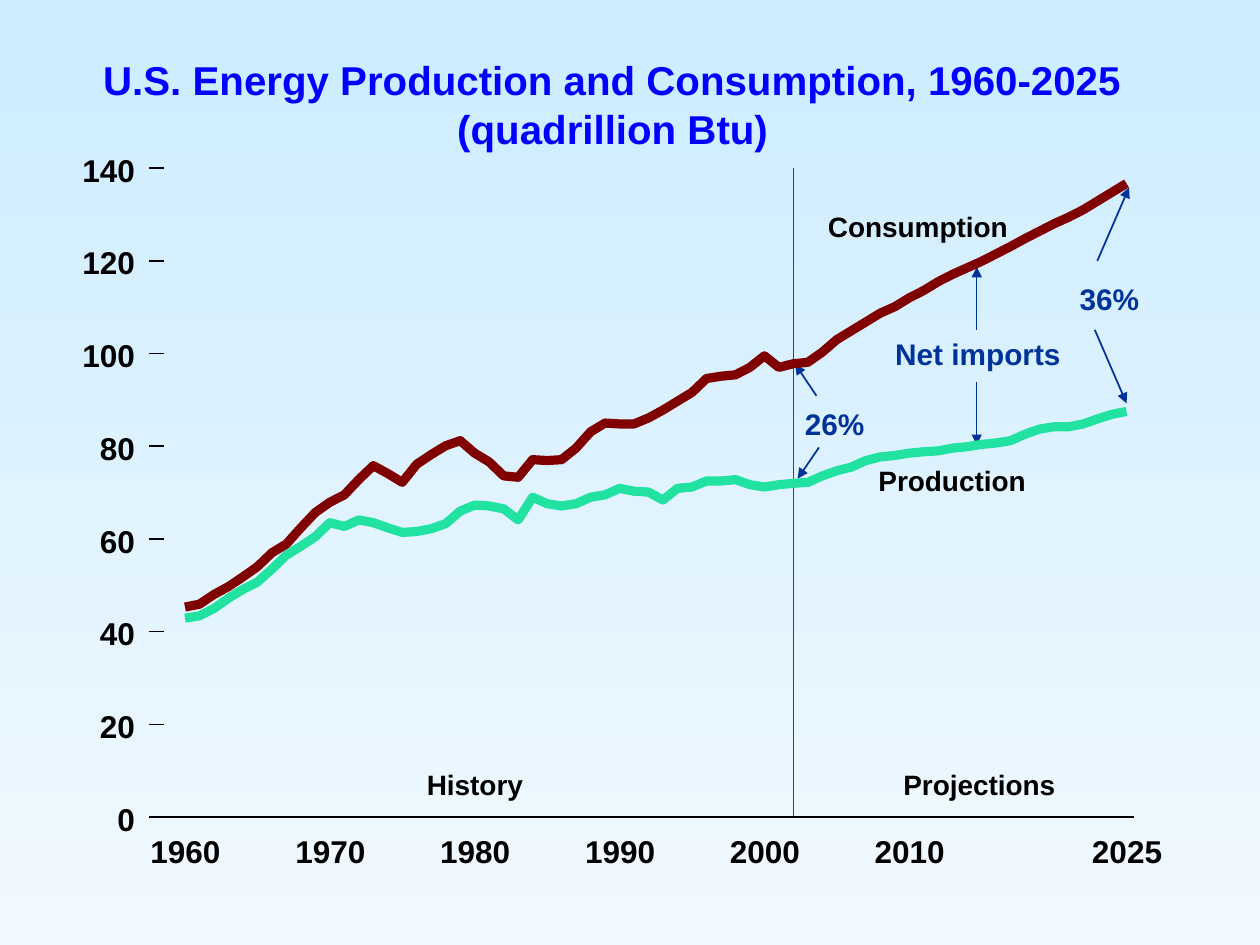
from dataclasses import dataclass

from lxml import etree
from pptx import Presentation
from pptx import util as u
from pptx.dml.color import RGBColor
from pptx.enum import shapes, text
from pptx.oxml.ns import qn

FONT = "Arial"
BLACK, NAVY, BLUE, OLIVE = "000000", "003399", "0000FF", "3B4832"
CENTER, RIGHT = text.PP_ALIGN.CENTER, text.PP_ALIGN.RIGHT

# Plot area, in centimetres
PLOT_LEFT, PLOT_WIDTH = 3.73, 18.98
PLOT_TOP, PLOT_BOTTOM = 3.39, 16.47
FIRST_YEAR, LAST_YEAR, SPLIT_YEAR = 1960, 2025, 2002
MAX_VALUE, VALUE_STEP = 140, 20
TICK_LEFT, AXIS_LEFT, AXIS_RIGHT = 3.0, 3.3, 22.86


@dataclass
class Label:
    words: str
    left: float
    top: float
    width: float
    size: int = 16
    color: str = BLACK
    align: text.PP_ALIGN = CENTER


@dataclass
class Line:
    x1: float
    y1: float
    x2: float
    y2: float
    color: str = BLACK
    weight: float = 0.88
    arrow: bool = False


@dataclass
class Series:
    color: str
    values: list[float]


PRODUCTION = Series("22E2A1", [
    42.9, 43.4, 45.0, 47.2, 49.1, 50.7, 53.5, 56.5, 58.4, 60.5,
    63.5, 62.7, 64.1, 63.5, 62.4, 61.4, 61.6, 62.2, 63.3, 66.0,
    67.3, 67.1, 66.5, 64.1, 69.0, 67.6, 67.1, 67.6, 69.0, 69.5,
    70.9, 70.3, 70.1, 68.4, 70.9, 71.2, 72.5, 72.5, 72.8, 71.7,
    71.2, 71.7, 72.0, 72.2, 73.6, 74.7, 75.5, 76.9, 77.7, 78.0,
    78.5, 78.8, 79.0, 79.6, 79.9, 80.4, 80.7, 81.2, 82.6, 83.7,
    84.2, 84.2, 84.8, 85.9, 86.9, 87.5])
CONSUMPTION = Series("800000", [
    45.3, 45.9, 48.0, 49.7, 51.8, 54.0, 57.0, 58.9, 62.4, 65.7,
    67.9, 69.5, 72.8, 75.8, 74.1, 72.2, 76.1, 78.2, 80.1, 81.2,
    78.5, 76.6, 73.6, 73.3, 77.1, 76.9, 77.1, 79.6, 83.1, 85.0,
    84.8, 84.8, 86.1, 87.8, 89.7, 91.6, 94.6, 95.1, 95.4, 97.0,
    99.5, 97.0, 97.8, 98.1, 100.3, 103.0, 104.9, 106.8, 108.7, 110.1,
    112.0, 113.6, 115.5, 117.1, 118.5, 119.9, 121.5, 123.1, 124.8, 126.4,
    128.0, 129.4, 131.0, 132.9, 134.8, 136.7])

IMPORT_LABELS = [
    Label("26%", 16.21, 8.18, 1.23, 17, NAVY),
    Label("36%", 21.75, 5.66, 1.23, 17, NAVY),
    Label("Net imports", 18.02, 6.77, 3.39, 17, NAVY),
]
IMPORT_ARROWS = [
    Line(16.46, 7.98, 16.03, 7.34, NAVY, 1, True),
    Line(16.51, 9.02, 16.08, 9.65, NAVY, 1, True),
    Line(22.07, 6.65, 22.71, 8.13, NAVY, 1, True),
    Line(22.12, 5.26, 22.76, 3.78, NAVY, 1, True),
    Line(19.69, 6.65, 19.69, 5.38, NAVY, 0.75, True),
    Line(19.69, 7.7, 19.69, 8.97, NAVY, 0.75, True),
]
PLOT_LABELS = [
    Label("History", 8.59, 15.47, 1.97),
    Label("Projections", 18.19, 15.47, 3.11),
    Label("Production", 17.69, 9.35, 3.01),
    Label("Consumption", 16.67, 4.22, 3.67),
]


def rgb(color: str) -> RGBColor:
    return RGBColor.from_string(color)


def year_x(year: int) -> float:
    return PLOT_LEFT + PLOT_WIDTH * (year - FIRST_YEAR) / (LAST_YEAR - FIRST_YEAR)


def value_y(value: float) -> float:
    return PLOT_BOTTOM - (PLOT_BOTTOM - PLOT_TOP) * value / MAX_VALUE


def clear_margins(frame) -> None:
    frame.margin_left = frame.margin_right = 0
    frame.margin_top = frame.margin_bottom = 0


def add_span(para, words: str, size: int, color: str) -> None:
    span = para.add_run()
    span.text = words
    span.font.name, span.font.size, span.font.bold = FONT, u.Pt(size), True
    span.font.color.rgb = rgb(color)


def draw_label(slide, label: Label) -> None:
    box = slide.shapes.add_textbox(u.Cm(label.left), u.Cm(label.top),
                                   u.Cm(label.width), u.Pt(label.size * 1.2))
    frame = box.text_frame
    clear_margins(frame)
    frame.word_wrap = False
    frame.auto_size = text.MSO_AUTO_SIZE.SHAPE_TO_FIT_TEXT
    para = frame.paragraphs[0]
    para.alignment = label.align
    add_span(para, label.words, label.size, label.color)


def draw_line(slide, line: Line) -> None:
    ends = [u.Cm(n) for n in (line.x1, line.y1, line.x2, line.y2)]
    connector = slide.shapes.add_connector(shapes.MSO_CONNECTOR.STRAIGHT, *ends)
    connector.line.color.rgb = rgb(line.color)
    connector.line.width = u.Pt(line.weight)
    if line.arrow:
        etree.SubElement(connector.line._get_or_add_ln(), qn("a:tailEnd"), type="triangle")
    etree.SubElement(connector._element.spPr, qn("a:effectLst"))


def draw_series(slide, series: Series) -> None:
    points = [(u.Cm(year_x(FIRST_YEAR + i)), u.Cm(value_y(value)))
              for i, value in enumerate(series.values)]
    builder = slide.shapes.build_freeform(*points[0])
    builder.add_line_segments(points[1:], close=False)
    curve = builder.convert_to_shape()
    curve.shadow.inherit = False
    curve.fill.background()
    curve.line.color.rgb = rgb(series.color)
    curve.line.width = u.Pt(5.25)


def draw_axes(slide) -> None:
    for value in range(0, MAX_VALUE + 1, VALUE_STEP):
        y = value_y(value)
        draw_line(slide, Line(TICK_LEFT, y, AXIS_LEFT, y))
        width = 0.36 * len(str(value))
        draw_label(slide, Label(str(value), 2.72 - width, y - 0.35, width, 18, align=RIGHT))
    draw_line(slide, Line(AXIS_LEFT, PLOT_BOTTOM, AXIS_RIGHT, PLOT_BOTTOM))
    for year in (*range(FIRST_YEAR, 2011, 10), LAST_YEAR):
        draw_label(slide, Label(str(year), year_x(year) - 0.71, 16.78, 1.44, 18))


def draw_title(slide) -> None:
    title = slide.shapes.title
    title.left, title.top, title.width, title.height = (
        u.Cm(n) for n in (2.08, 1.12, 20.55, 1.93))
    frame = title.text_frame
    clear_margins(frame)
    frame.word_wrap = True
    frame.auto_size = text.MSO_AUTO_SIZE.NONE
    frame.vertical_anchor = text.MSO_ANCHOR.TOP
    first, second = frame.paragraphs[0], frame.add_paragraph()
    first.alignment = second.alignment = CENTER
    second.space_before = u.Pt(0)
    add_span(first, "U.S. Energy Production and Consumption, 1960-2025", 23, BLUE)
    add_span(second, "(quadrillion Btu)", 23, BLUE)


def main() -> None:
    deck = Presentation()
    deck.slide_width, deck.slide_height = u.Cm(25.4), u.Cm(19.05)
    page = deck.slides.add_slide(deck.slide_layouts[5])

    # Background
    fill = page.background.fill
    fill.gradient()
    fill.gradient_angle = 270
    for stop, color in zip(fill.gradient_stops, ("CCECFF", "F1F9FE")):
        stop.color.rgb = rgb(color)

    draw_title(page)

    # Net import notes lie behind the curves
    for label in IMPORT_LABELS:
        draw_label(page, label)
    for arrow in IMPORT_ARROWS:
        draw_line(page, arrow)

    # Divider between history and projections, then the curves
    split = year_x(SPLIT_YEAR)
    draw_line(page, Line(split, PLOT_TOP, split, PLOT_BOTTOM, OLIVE))
    for series in (PRODUCTION, CONSUMPTION):
        draw_series(page, series)

    draw_axes(page)
    for label in PLOT_LABELS:
        draw_label(page, label)
    deck.save("out.pptx")


if __name__ == "__main__":
    main()
